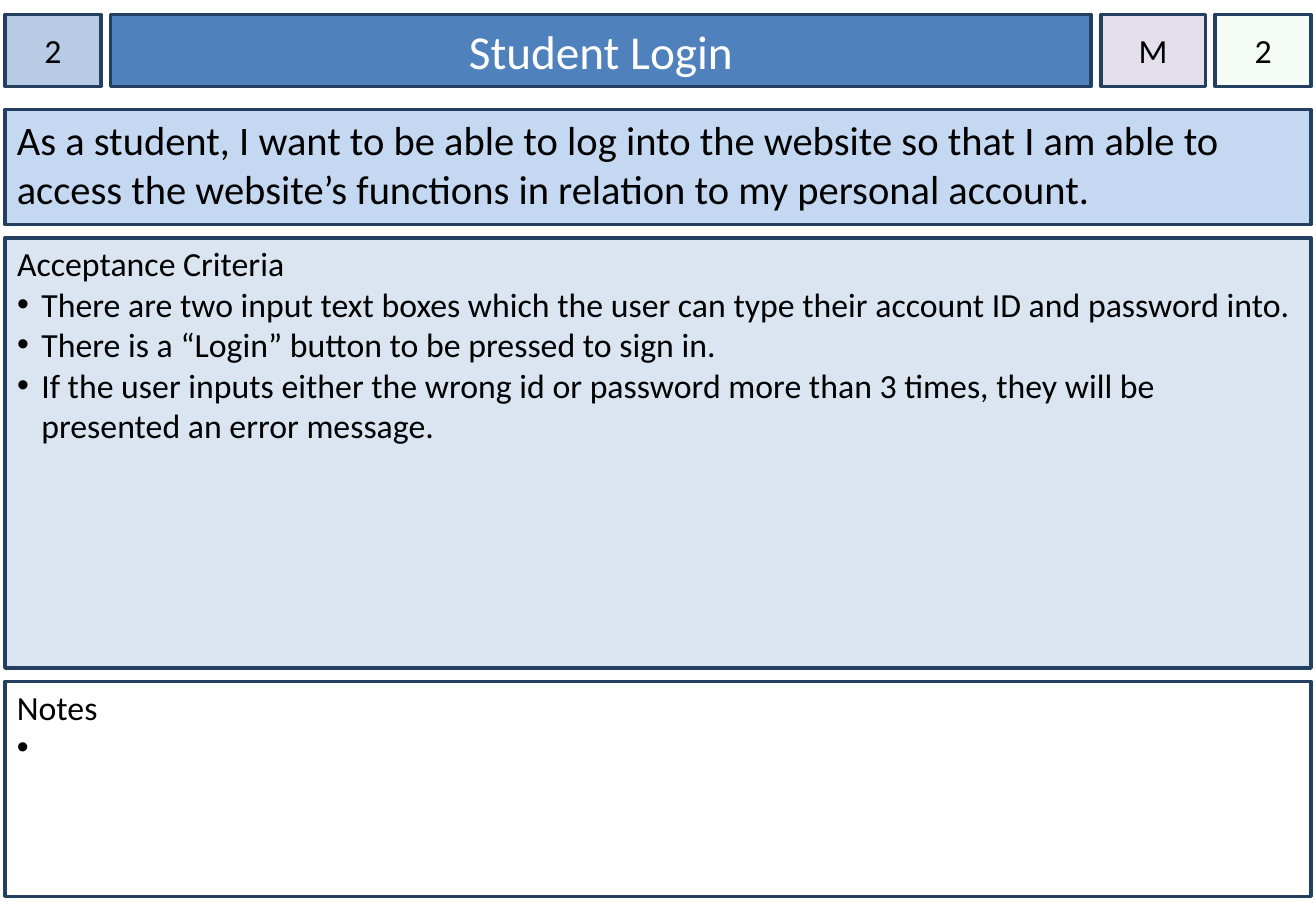
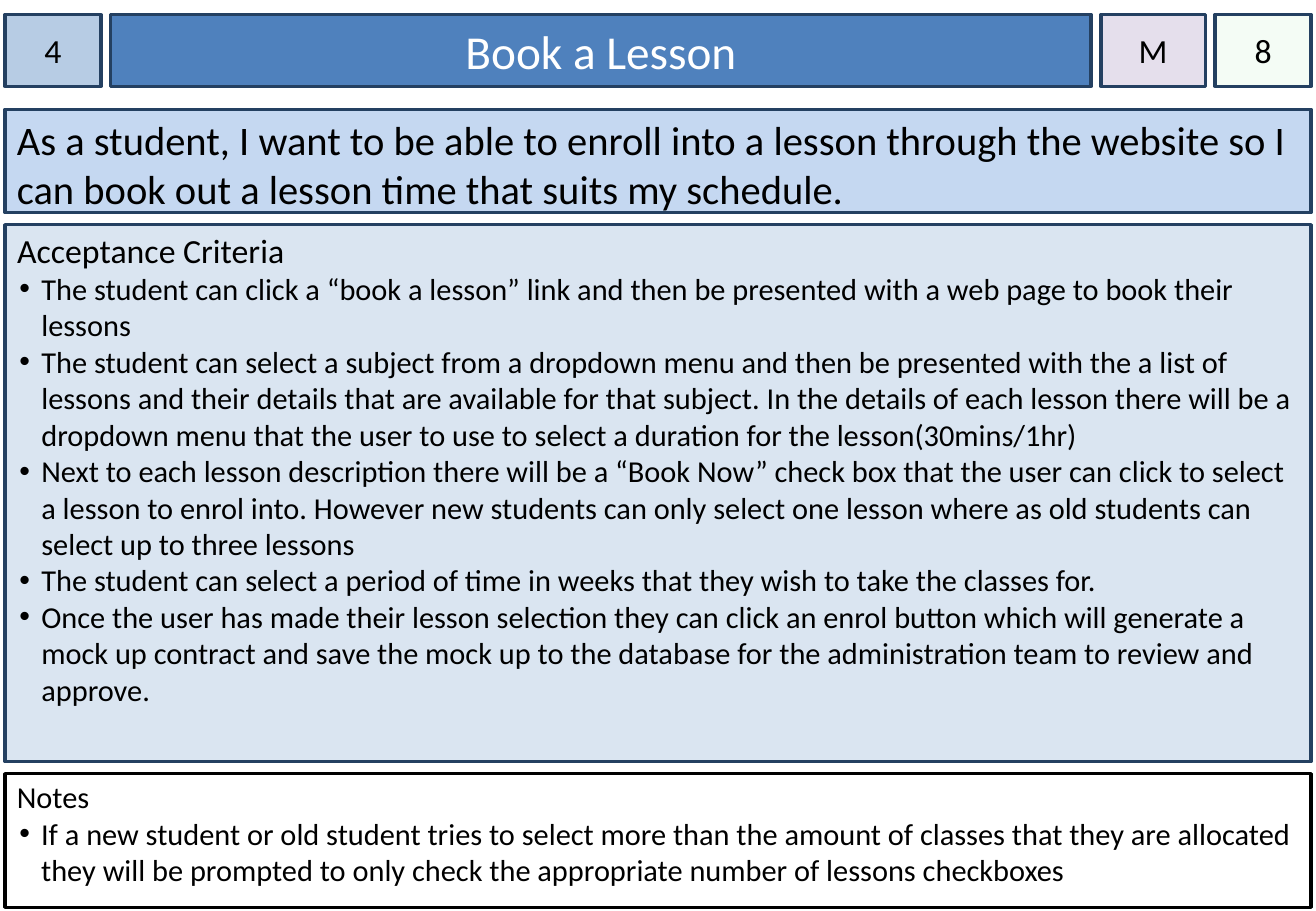
from pptx import Presentation
from pptx.dml.color import RGBColor
from pptx.enum.shapes import MSO_SHAPE
from pptx.enum.text import MSO_ANCHOR, MSO_AUTO_SIZE, PP_ALIGN
from pptx.oxml.ns import qn
from pptx.util import Inches, Pt
from lxml import etree

RECTANGLE = MSO_SHAPE.RECTANGLE
TOP, MIDDLE = MSO_ANCHOR.TOP, MSO_ANCHOR.MIDDLE
LEFT, CENTER = PP_ALIGN.LEFT, PP_ALIGN.CENTER
NO_AUTOFIT = MSO_AUTO_SIZE.NONE

COLORS = {
    "number": "B7CCE4", "title": "4F81BD", "priority": "E5DFEC",
    "estimate": "CCF0CD", "story": "C5D8F1", "criteria": "DAE5F1",
    "white": "FFFFFF", "black": "000000", "border": "244061",
}
FONT = "Calibri"
MARGIN = 0.04
PANEL_WIDTH = 10.75
PANEL_TOP = 0.9
HEADER_TOP, HEADER_HEIGHT, HEADER_GAP = 0.12, 0.59, 0.08
HEADER_WIDTHS = {"number": 0.79, "title": 8.07, "priority": 0.86, "estimate": 0.79}
BULLET_INDENT = 0.2

CARDS = [
    {
        "number": "2", "title": "Student Login", "priority": "M", "estimate": "2",
        "story": "As a student, I want to be able to log into the website so that I am able to "
                 "access the website’s functions in relation to my personal account.",
        "criteria": [
            "There are two input text boxes which the user can type their account ID and password into.",
            "There is a “Login” button to be pressed to sign in.",
            "If the user inputs either the wrong id or password more than 3 times, they will be "
            "presented an error message.",
        ],
        "notes": [" "],
        "heights": (0.95, 3.54, 1.77), "gap": 0.11,
        "bullet_size": 20, "notes_size": 20, "hanging": 0.2, "notes_border": "border",
    },
    {
        "number": "4", "title": "Book a Lesson", "priority": "M", "estimate": "8",
        "story": "As a student, I want to be able to enroll into a lesson through the website so I "
                 "can book out a lesson time that suits my schedule.",
        "criteria": [
            "The student can click a “book a lesson” link and then be presented with a web page to "
            "book their lessons",
            "The student can select a subject from a dropdown menu and then be presented with the a "
            "list of lessons and their details that are available for that subject. In the details "
            "of each lesson there will be a dropdown menu that the user to use to select a duration "
            "for the lesson(30mins/1hr)",
            "Next to each lesson description there will be a “Book Now” check box that the user can "
            "click to select a lesson to enrol into. However new students can only select one lesson "
            "where as old students can select up to three lessons",
            "The student can select a period of time in weeks that they wish to take the classes for.",
            "Once the user has made their lesson selection they can click an enrol button which will "
            "generate a mock up contract and save the mock up to the database for the administration "
            "team to review and approve.",
        ],
        "notes": [
            "If a new student or old student tries to select more than the amount of classes that "
            "they are allocated they will be prompted to only check the appropriate number of "
            "lessons checkboxes",
        ],
        "heights": (0.85, 4.42, 1.1), "gap": 0.1,
        "bullet_size": 18, "notes_size": 18, "hanging": 0.18, "notes_border": "black",
    },
]


class StoryDeck:
    """Holds the card style and the slide being filled."""

    def __init__(self):
        self.presentation = Presentation()
        self.presentation.slide_width = Inches(10.83)
        self.presentation.slide_height = Inches(7.5)
        self.slide = None

    def add_slide(self):
        layout = self.presentation.slide_layouts.get_by_name("Title and Content")
        self.slide = self.presentation.slides.add_slide(layout)

    def box(self, bounds, fill, border="border", anchor=TOP, insets=(0.1, 0.04), placeholder=None):
        """Style a bordered rectangle, or the given placeholder, and return its text frame."""
        left, top, width, height = (Inches(value) for value in bounds)
        if placeholder is None:
            shape = self.slide.shapes.add_shape(RECTANGLE, left, top, width, height)
        else:
            shape = placeholder
            shape.left, shape.top, shape.width, shape.height = left, top, width, height
        shape.shadow.inherit = False
        shape.fill.solid()
        shape.fill.fore_color.rgb = RGBColor.from_string(COLORS[fill])
        if fill == "estimate":
            color = shape._element.spPr.find(qn("a:solidFill"))[0]
            etree.SubElement(color, qn("a:alpha"), val="20000")
        shape.line.color.rgb = RGBColor.from_string(COLORS[border])
        shape.line.width = Pt(2)
        frame = shape.text_frame
        frame.word_wrap = True
        frame.auto_size = NO_AUTOFIT
        frame.vertical_anchor = anchor
        side, top_inset = insets
        frame.margin_left = frame.margin_right = Inches(side)
        frame.margin_top, frame.margin_bottom = Inches(top_inset), Inches(0.05)
        return frame

    def fill_paragraph(self, paragraph, text, size, color="black", align=LEFT, hanging=None):
        """Add one run; a hanging indent makes the paragraph a bullet."""
        paragraph.alignment = align
        paragraph.space_before = Pt(0)
        properties = paragraph._p.get_or_add_pPr()
        if hanging is None:
            properties.set("marL", "0")
            properties.set("indent", "0")
            etree.SubElement(properties, qn("a:buNone"))
        else:
            properties.set("marL", str(Inches(BULLET_INDENT)))
            properties.set("indent", str(-Inches(hanging)))
            bullet_color = etree.SubElement(properties, qn("a:buClr"))
            etree.SubElement(bullet_color, qn("a:srgbClr"), val=COLORS["black"])
            etree.SubElement(properties, qn("a:buFont"), typeface="Arial")
            etree.SubElement(properties, qn("a:buChar"), char="•")
        run = paragraph.add_run()
        run.text = text
        run.font.name = FONT
        run.font.size = Pt(size)
        run.font.color.rgb = RGBColor.from_string(COLORS[color])

    def header(self, card):
        left = MARGIN
        for part, width in HEADER_WIDTHS.items():
            is_title = part == "title"
            frame = self.box(
                (left, HEADER_TOP, width, HEADER_HEIGHT), part, anchor=MIDDLE,
                insets=(0.1 if is_title else 0, 0.05),
                placeholder=self.slide.shapes.title if is_title else None)
            self.fill_paragraph(frame.paragraphs[0], card[part], 28 if is_title else 20,
                                "white" if is_title else "black", CENTER)
            left += width + HEADER_GAP

    def list_panel(self, frame, heading, heading_size, items, item_size, hanging):
        self.fill_paragraph(frame.paragraphs[0], heading, heading_size)
        for item in items:
            self.fill_paragraph(frame.add_paragraph(), item, item_size, hanging=hanging)

    def add_card(self, card):
        self.add_slide()
        self.header(card)
        bounds, top = [], PANEL_TOP
        for height in card["heights"]:
            bounds.append((MARGIN, top, PANEL_WIDTH, height))
            top += height + card["gap"]
        story, criteria, notes = bounds

        frame = self.box(story, "story", insets=(0.1, 0.05))
        self.fill_paragraph(frame.paragraphs[0], card["story"], 24)

        frame = self.box(criteria, "criteria", placeholder=self.slide.placeholders[1])
        self.list_panel(frame, "Acceptance Criteria", 20, card["criteria"],
                        card["bullet_size"], card["hanging"])

        frame = self.box(notes, "white", card["notes_border"])
        self.list_panel(frame, "Notes", card["notes_size"], card["notes"],
                        card["notes_size"], card["hanging"])


def main():
    deck = StoryDeck()
    for card in CARDS:
        deck.add_card(card)
    deck.presentation.save("out.pptx")


if __name__ == "__main__":
    main()
